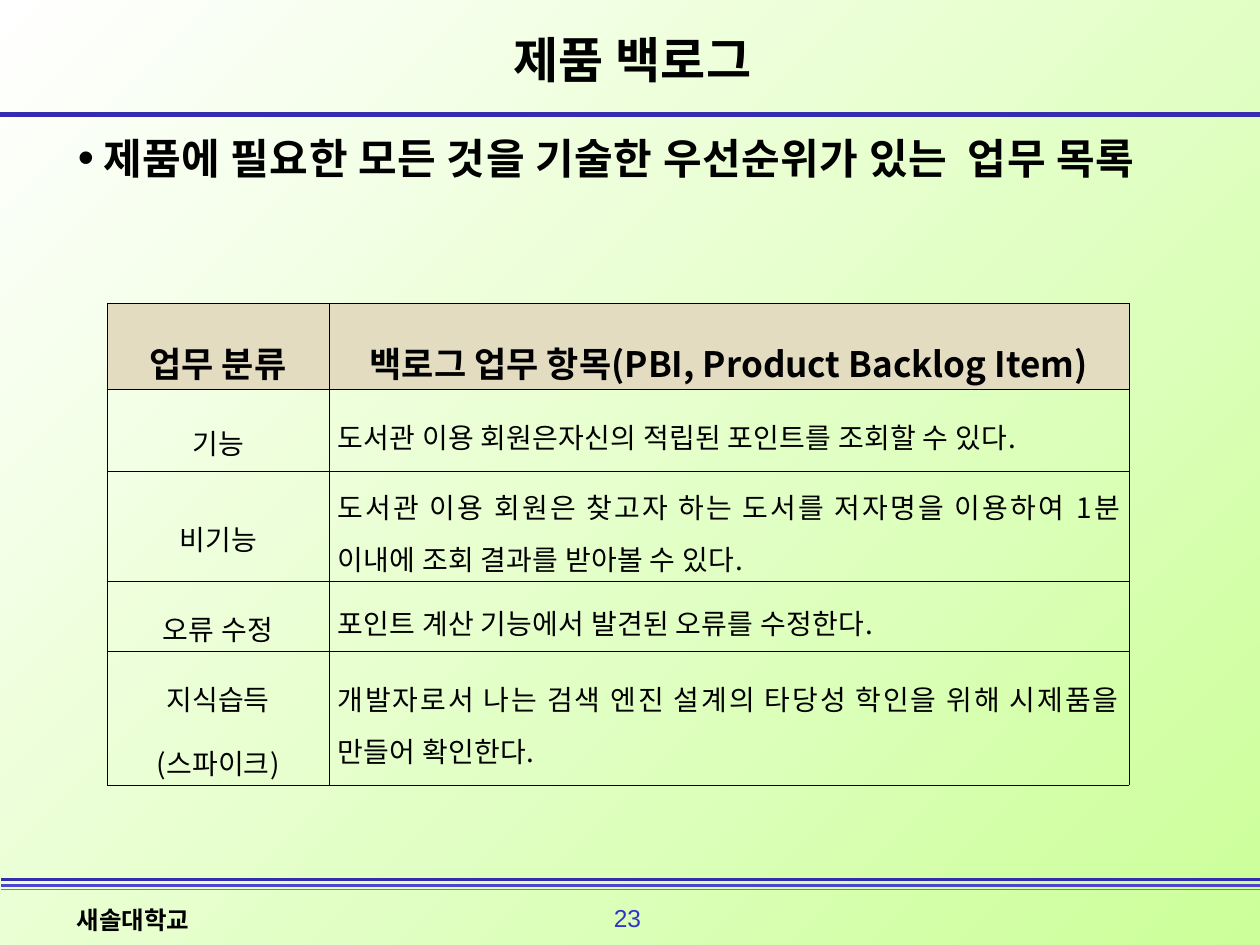
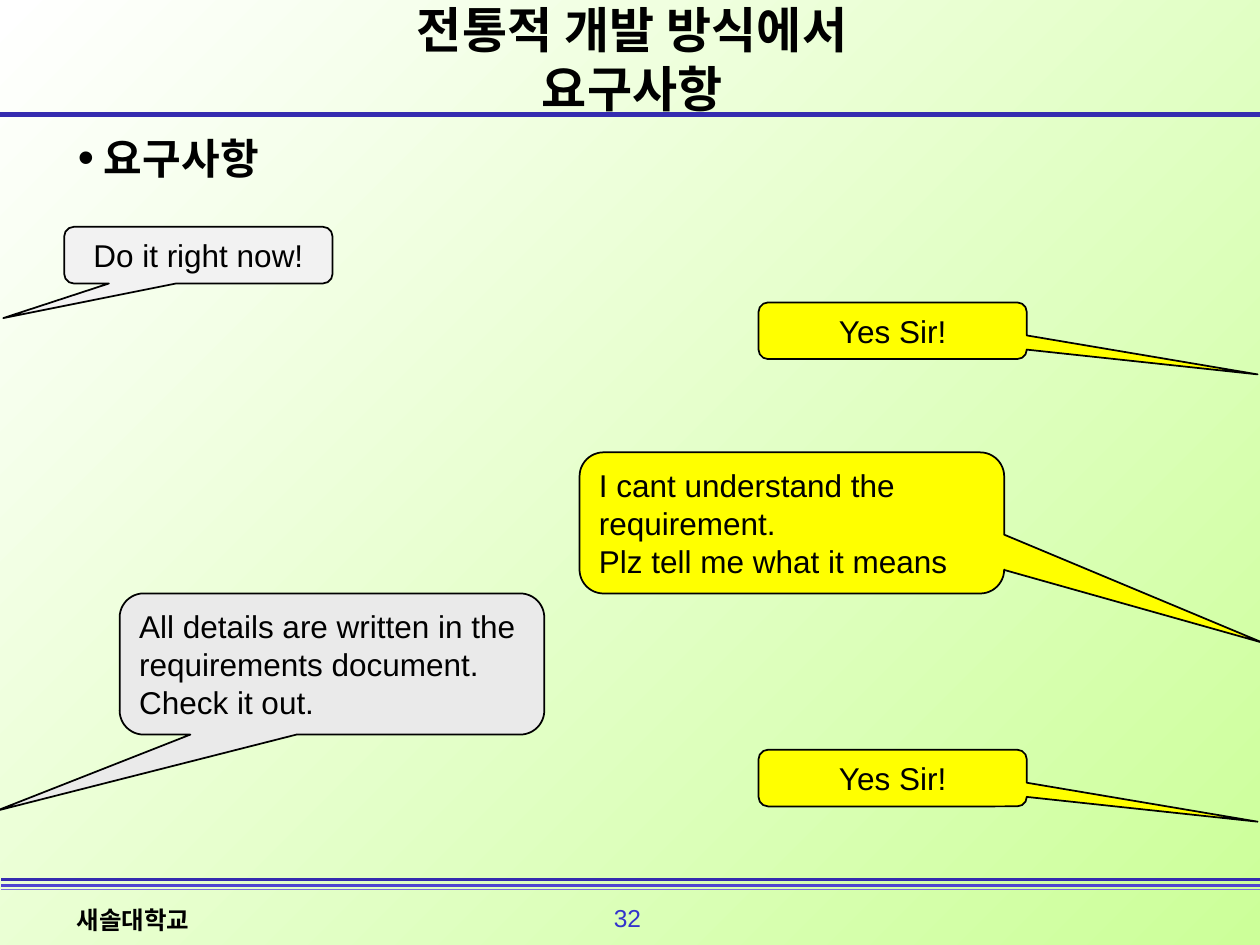
import pptx
import pptx.util
import pptx.dml.color
import pptx.enum.dml
import pptx.enum.shapes
import pptx.enum.text
import pptx.oxml.ns
import lxml.etree

Inch, Pt = pptx.util.Inches, pptx.util.Pt
Rgb = pptx.dml.color.RGBColor.from_string
Align = pptx.enum.text.PP_ALIGN
Mid = pptx.enum.text.MSO_ANCHOR.MIDDLE
Fit = pptx.enum.text.MSO_AUTO_SIZE
Kind = pptx.enum.shapes.MSO_SHAPE
Line = pptx.enum.shapes.MSO_CONNECTOR
qn = pptx.oxml.ns.qn

SIZE = (10, 7.5)
SCHOOL = "새솔대학교"
DECK = [
    {"title": "제품 백로그", "point": "제품에 필요한 모든 것을 기술한 우선순위가 있는  업무 목록",
     "page": "23", "deep": 1.26},
    {"title": "전통적 개발 방식에서 요구사항", "point": "요구사항", "page": "32", "deep": 5.68},
]
TASKS = [
    ("업무 분류", "백로그 업무 항목(PBI, Product Backlog Item)"),
    ("기능", "도서관 이용 회원은자신의 적립된 포인트를 조회할 수 있다."),
    ("비기능", "도서관 이용 회원은 찾고자 하는 도서를 저자명을 이용하여 1분 이내에 조회 결과를 받아볼 수 있다."),
    ("오류 수정", "포인트 계산 기능에서 발견된 오류를 수정한다."),
    ("지식습득\n(스파이크)", "개발자로서 나는 검색 엔진 설계의 타당성 학인을 위해 시제품을 만들어 확인한다."),
]
COLS = (1.76, 6.35)
ROWS = (0.68, 0.65, 0.87, 0.56, 1.06)
SMALL = {"size": (2.13, 0.45), "align": Align.CENTER}
LARGE = {"size": (3.37, 1.12), "align": Align.LEFT}
TALK = [
    ("Do it right now!", SMALL, (0.51, 1.8), "pale", (-0.727, 1.11)),
    ("Yes Sir!", SMALL, (6.02, 2.4), "reply", (1.36, 0.77)),
    ("I cant understand the requirement.\nPlz tell me what it means", LARGE,
     (4.6, 3.59), "reply", (1.11, 0.85)),
    ("All details are written in the requirements document.\nCheck it out.", LARGE,
     (0.95, 4.71), "gray", (-0.79, 1.04)),
    ("Yes Sir!", SMALL, (6.02, 5.95), "reply", (1.36, 0.77)),
]
THEME = {
    "ink": "000000", "page": "3333CC", "head": "E3DCC1",
    "pale": "F2F2F2", "gray": "EAEAEA", "reply": "FFFF00",
    "back": ("FFFFFF", "CCFF99"),
    "rules": [(-0.04, 0.91, "352CB0", 3), (0.01, 6.98, "352CB0", 2.25),
              (0.01, 7.03, "4F45D1", 1.5), (0.01, 7.06, "7870DC", 1)],
    "korean": "Noto Sans CJK KR", "latin": "Arial",
    "title": 28, "point": 24, "header": 20, "talk": 18, "cell": 16, "foot": 14,
    "track": {"title": 0.2, "point": 0.35, "cell": 0.2},
}


def apply(item, vals):
    for name, val in vals.items():
        setattr(item, name, val)


def node(root, tag, **vals):
    return lxml.etree.SubElement(root, qn(tag), vals)


def place(item, left, top, width, height):
    apply(item, {"left": Inch(left), "top": Inch(top),
                 "width": Inch(width), "height": Inch(height)})


def write(frame, text, size, face, bold=False, ink="ink", **form):
    frame.text = text
    track = THEME["track"].get(size, 0)
    for para in frame.paragraphs:
        apply(para, form)
        for run in para.runs:
            apply(run.font, {"size": Pt(THEME[size]), "bold": bold, "name": THEME[face]})
            run.font.color.rgb = Rgb(THEME[ink])
            node(run.font._element, "a:ea", typeface=THEME[face])
            if track:
                run.font._element.set("spc", str(round(track * 100)))


def label(slide, box, text, size, face, fit=Fit.SHAPE_TO_FIT_TEXT, wrap=True, **form):
    frame = slide.shapes.add_textbox(*map(Inch, box)).text_frame
    apply(frame, {"word_wrap": wrap, "auto_size": fit})
    write(frame, text, size, face, **form)
    return frame


def paint(slide):
    fill = slide.background.fill
    fill.gradient()
    fill.gradient_angle = 315
    for stop, tone, pos in zip(fill.gradient_stops, THEME["back"], (0, 1)):
        stop.color.rgb = Rgb(tone)
        stop.position = pos


def rule(slide, left, top, tone, width):
    right = max(SIZE[0], SIZE[0] + left)
    line = slide.shapes.add_connector(
        Line.STRAIGHT, Inch(left), Inch(top), Inch(right), Inch(top))
    line.line.color.rgb = Rgb(tone)
    line.line.width = Pt(width)
    node(line._element.spPr, "a:effectLst")


def base(deck, data):
    slide = deck.slides.add_slide(deck.slide_layouts[5])
    paint(slide)
    for spec in THEME["rules"]:
        rule(slide, *spec)
    label(slide, (4.76, 7.12, 0.44, 0.33), data["page"], "foot", "latin",
          wrap=False, ink="page", alignment=Align.CENTER)
    label(slide, (0.51, 7.13, 2.84, 0.33), SCHOOL, "foot", "korean", bold=True,
          space_before=Pt(THEME["foot"] * 0.5))
    title = slide.shapes.title
    place(title, 2.48, 0.29, 5.08, 0.35)
    apply(title.text_frame, {"vertical_anchor": Mid, "word_wrap": True, "auto_size": Fit.NONE})
    write(title.text_frame, data["title"], "title", "korean", bold=True, alignment=Align.CENTER)
    frame = label(slide, (0.52, 1, 8.79, data["deep"]), data["point"], "point", "korean",
                  fit=Fit.NONE, bold=True, space_before=Pt(THEME["point"] * 0.2))
    props = frame.paragraphs[0]._p.get_or_add_pPr()
    props.set("marL", str(Inch(0.2)))
    props.set("indent", str(Inch(-0.2)))
    node(props, "a:buSzPct", val="110000")
    node(props, "a:buFont", typeface=THEME["latin"])
    node(props, "a:buChar", char="•")
    return slide


def border(cell):
    props = cell._tc.get_or_add_tcPr()
    for side in "LRTB":
        edge = node(props, "a:ln" + side, w=str(Pt(0.28)))
        node(node(edge, "a:solidFill"), "a:srgbClr", val=THEME["ink"])


def tasks(slide):
    grid = slide.shapes.add_table(
        len(ROWS), len(COLS), Inch(0.85), Inch(2.41), Inch(sum(COLS)), Inch(sum(ROWS))).table
    apply(grid, {"first_row": False, "horz_banding": False})
    for col, width in zip(grid.columns, COLS):
        col.width = Inch(width)
    for r, (row, texts) in enumerate(zip(grid.rows, TASKS)):
        row.height = Inch(ROWS[r])
        for c, text in enumerate(texts):
            cell, top = grid.cell(r, c), r == 0
            apply(cell, {"vertical_anchor": Mid, "margin_left": Inch(0.07),
                         "margin_right": Inch(0.07), "margin_top": Inch(0.02),
                         "margin_bottom": Inch(0.02)})
            border(cell)
            if top:
                cell.fill.solid()
                cell.fill.fore_color.rgb = Rgb(THEME["head"])
            else:
                cell.fill.background()
            mid = top or c == 0
            write(cell.text_frame, text, "header" if top else "cell", "korean", bold=top,
                  alignment=Align.CENTER if mid else Align.JUSTIFY,
                  line_spacing=1.6 if mid else 1.3)


def talk(slide):
    for text, form, spot, tone, tip in TALK:
        bubble = slide.shapes.add_shape(
            Kind.ROUNDED_RECTANGULAR_CALLOUT, *map(Inch, spot + form["size"]))
        for i, val in enumerate(tip + (0.17,)):
            bubble.adjustments[i] = val
        bubble.shadow.inherit = False
        bubble.fill.solid()
        bubble.fill.fore_color.rgb = Rgb(THEME[tone])
        bubble.line.color.rgb = Rgb(THEME["ink"])
        bubble.line.width = Pt(1)
        apply(bubble.text_frame, {"vertical_anchor": Mid, "word_wrap": True,
                                  "auto_size": Fit.SHAPE_TO_FIT_TEXT})
        write(bubble.text_frame, text, "talk", "latin", alignment=form["align"])


def main():
    deck = pptx.Presentation()
    apply(deck, {"slide_width": Inch(SIZE[0]), "slide_height": Inch(SIZE[1])})
    for data, draw in zip(DECK, (tasks, talk)):
        draw(base(deck, data))
    deck.save("out.pptx")


if __name__ == "__main__":
    main()
